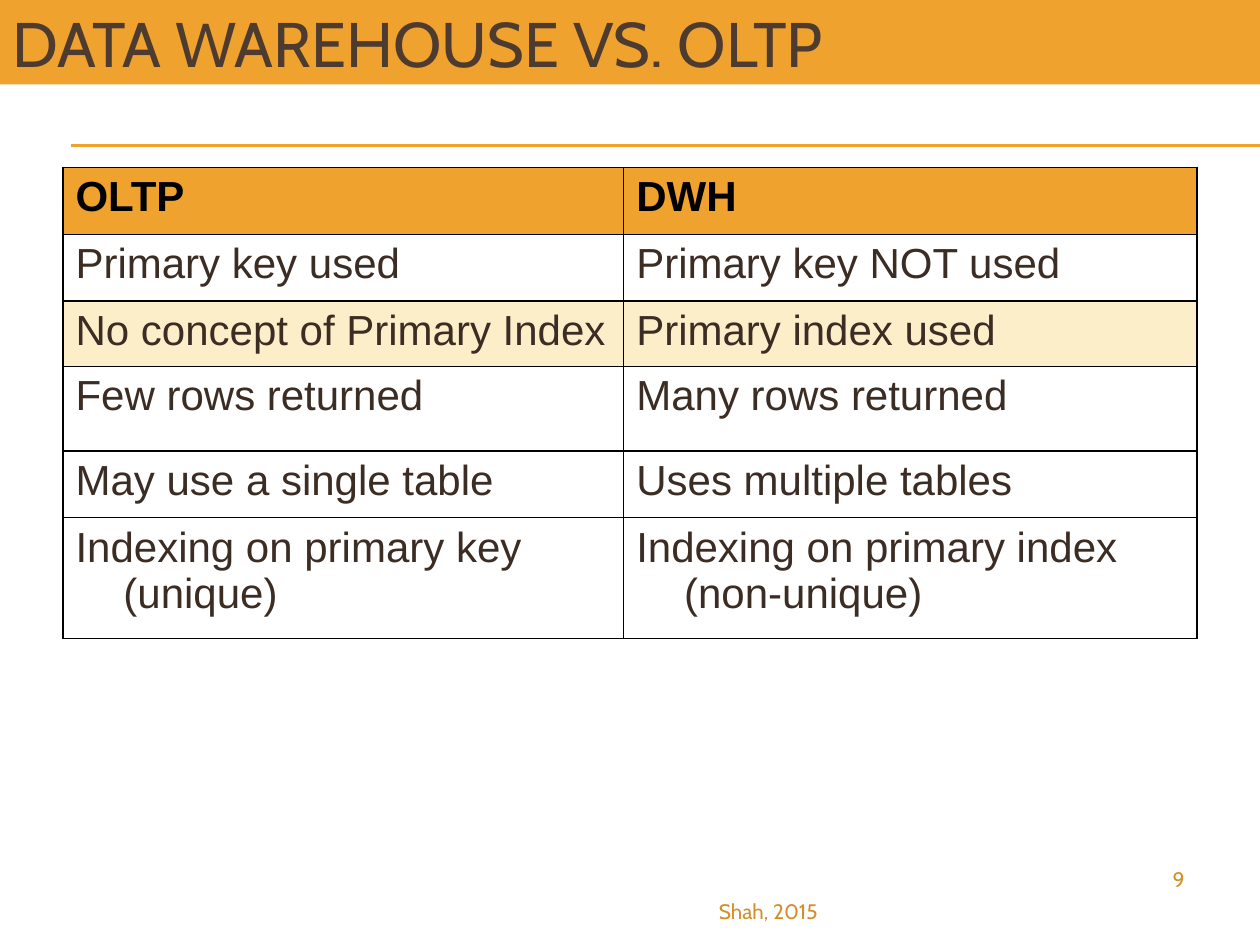
from dataclasses import dataclass

from lxml.etree import SubElement
from pptx import Presentation
from pptx.dml.color import RGBColor
from pptx.enum.shapes import MSO_CONNECTOR, MSO_SHAPE
from pptx.enum.text import MSO_ANCHOR, PP_ALIGN
from pptx.oxml.ns import qn
from pptx.util import Inches, Pt


@dataclass(frozen=True)
class Theme:
    accent: str = "F0A22E"
    highlight: str = "FBEEC9"
    title: str = "4E3B30"
    body: str = "3B2C24"
    black: str = "000000"
    footer: str = "D48F29"
    display_font: str = "Cabin"
    table_font: str = "Arial"
    title_size: int = 36
    table_size: int = 24
    footer_size: int = 12
    line_width: float = 0.75
    border_width: float = 1


THEME = Theme()
COMPARISON = [
    ("OLTP", "DWH"),
    ("Primary key used", "Primary key NOT used"),
    ("No concept of Primary Index", "Primary index used"),
    ("Few rows returned", "Many rows returned"),
    ("May use a single table", "Uses multiple tables"),
    ("Indexing on primary key (unique)", "Indexing on primary index (non-unique)"),
]
COLUMN_WIDTHS = [4.45, 4.55]
ROW_HEIGHTS = [0.53, 0.53, 0.52, 0.67, 0.53, 0.96]
ROW_FILLS = {0: THEME.accent, 2: THEME.highlight}


def write_text(frame, text, color, align=PP_ALIGN.LEFT, **font_format):
    frame.word_wrap = True
    paragraph = frame.paragraphs[0]
    paragraph.alignment = align
    run = paragraph.add_run()
    run.text = text
    for attribute, value in font_format.items():
        setattr(run.font, attribute, value)
    run.font.color.rgb = RGBColor.from_string(color)
    return paragraph


def add_title(slide, text):
    banner = slide.shapes.add_shape(
        MSO_SHAPE.RECTANGLE, 0, 0, Inches(10), Inches(0.67))
    banner.shadow.inherit = False
    banner.fill.solid()
    banner.fill.fore_color.rgb = RGBColor.from_string(THEME.accent)
    banner.line.fill.background()
    banner.text_frame.vertical_anchor = MSO_ANCHOR.MIDDLE
    write_text(banner.text_frame, text, THEME.title,
               name=THEME.display_font, size=Pt(THEME.title_size))


def add_rule(slide, top):
    rule = slide.shapes.add_connector(
        MSO_CONNECTOR.STRAIGHT, Inches(0.56), Inches(top), Inches(10), Inches(top))
    rule.line.color.rgb = RGBColor.from_string(THEME.accent)
    rule.line.width = Pt(THEME.line_width)
    SubElement(rule._element.spPr, qn("a:effectLst"))


def add_footer(slide, text, left, top, width, height):
    footer = slide.shapes.add_textbox(
        Inches(left), Inches(top), Inches(width), Inches(height))
    write_text(footer.text_frame, text, THEME.footer, PP_ALIGN.RIGHT,
               name=THEME.display_font, size=Pt(THEME.footer_size))


def set_borders(cell):
    properties = cell._tc.get_or_add_tcPr()
    for position, side in enumerate(("a:lnL", "a:lnR", "a:lnT", "a:lnB")):
        border = SubElement(properties, qn(side), w=str(Pt(THEME.border_width)))
        fill = SubElement(border, qn("a:solidFill"))
        SubElement(fill, qn("a:srgbClr"), val=THEME.black)
        properties.insert(position, border)  # borders precede the fill


def fill_cell(cell, text, is_header, fill):
    paragraph = write_text(
        cell.text_frame, text, THEME.black if is_header else THEME.body,
        name=THEME.table_font, size=Pt(THEME.table_size), bold=is_header)
    hanging = paragraph._p.get_or_add_pPr()
    hanging.set("marL", str(Inches(0.38)))
    hanging.set("indent", str(-Inches(0.38)))
    if fill:
        cell.fill.solid()
        cell.fill.fore_color.rgb = RGBColor.from_string(fill)
    else:
        cell.fill.background()
    set_borders(cell)


def add_comparison(slide):
    table = slide.shapes.add_table(
        len(COMPARISON), len(COLUMN_WIDTHS), Inches(0.5), Inches(1.33),
        Inches(sum(COLUMN_WIDTHS)), Inches(sum(ROW_HEIGHTS))).table
    table.horz_banding = False
    for column, width in zip(table.columns, COLUMN_WIDTHS):
        column.width = Inches(width)
    for row, height in zip(table.rows, ROW_HEIGHTS):
        row.height = Inches(height)
    for row_index, entries in enumerate(COMPARISON):
        for column_index, text in enumerate(entries):
            fill_cell(table.cell(row_index, column_index), text,
                      row_index == 0, ROW_FILLS.get(row_index))


def main():
    presentation = Presentation()
    presentation.slide_width = Inches(10)
    presentation.slide_height = Inches(7.5)
    slide = presentation.slides.add_slide(presentation.slide_layouts[6])
    for top in (1.15, 1.16):
        add_rule(slide, top)
    add_title(slide, "DATA WAREHOUSE VS. OLTP")
    add_comparison(slide)
    add_footer(slide, "Shah, 2015", 3.42, 7.08, 3.17, 0.26)
    add_footer(slide, "9", 7.17, 6.83, 2.33, 0.52)
    presentation.save("out.pptx")


if __name__ == "__main__":
    main()
